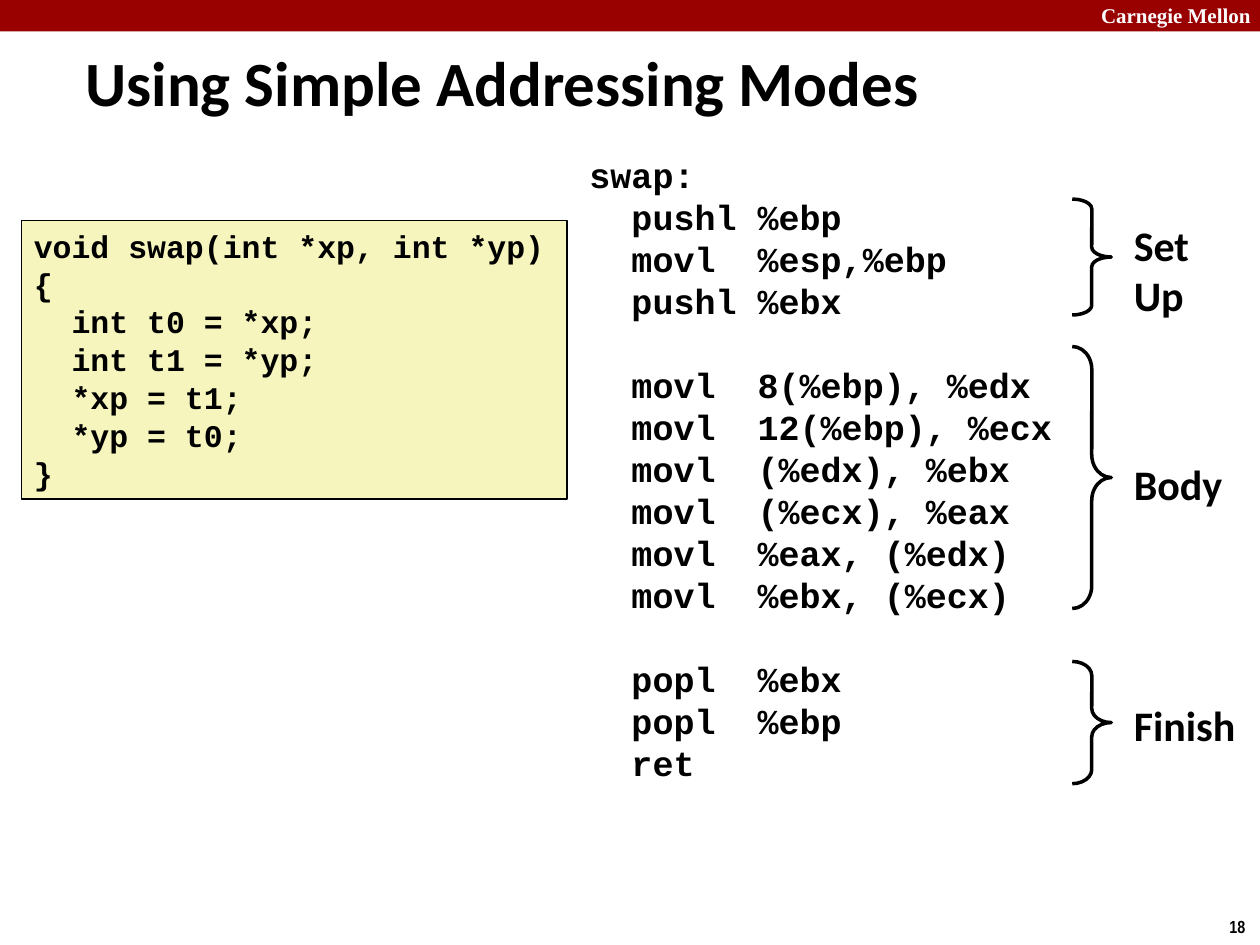
import pptx
import pptx.dml.color
import pptx.enum.shapes
import pptx.enum.text
import pptx.util

Inches, Pt = pptx.util.Inches, pptx.util.Pt
RGBColor = pptx.dml.color.RGBColor
MSO_SHAPE = pptx.enum.shapes.MSO_SHAPE
MSO_ANCHOR = pptx.enum.text.MSO_ANCHOR

BLACK = RGBColor(0x00, 0x00, 0x00)
WHITE = RGBColor(0xFF, 0xFF, 0xFF)
DARK_RED = RGBColor(0x99, 0x00, 0x00)
CREAM = RGBColor(0xF6, 0xF5, 0xBD)

# Content
TITLE = "Using Simple Addressing Modes"
C_CODE = [
    "void swap(int *xp, int *yp)",
    "{",
    "  int t0 = *xp;",
    "  int t1 = *yp;",
    "  *xp = t1;",
    "  *yp = t0;",
    "}",
]
SECTIONS = [
    {"label": ["Set", "Up"], "label_top": 1.69, "brace": (1.58, 0.92), "curve": 0.25,
     "code": ["swap:", "  pushl %ebp", "  movl  %esp,%ebp", "  pushl %ebx"]},
    {"label": ["Body"], "label_top": 3.59, "brace": (2.75, 2.08), "curve": 0.585,
     "code": ["  movl  8(%ebp), %edx", "  movl  12(%ebp), %ecx", "  movl  (%edx), %ebx",
              "  movl  (%ecx), %eax", "  movl  %eax, (%edx)", "  movl  %ebx, (%ecx)"]},
    {"label": ["Finish"], "label_top": 5.5, "brace": (5.25, 0.97), "curve": 0.362,
     "code": ["  popl  %ebx", "  popl  %ebp", "  ret"]},
]

# Layout
SLIDE_WIDTH, SLIDE_HEIGHT = 10, 7.5
BRACE_LEFT, BRACE_WIDTH = 8.51, 0.31
LABEL_LEFT, LABEL_WIDTH, LABEL_LINE = 8.9, 1.02, 0.41
CODE_LINE = 1.2  # line pitch as a multiple of the type size


def add_shape(slide, kind, box, fill=None, line=None):
    shape = slide.shapes.add_shape(kind, *map(Inches, box))
    shape.shadow.inherit = False
    if fill is None:
        shape.fill.background()
    else:
        shape.fill.solid()
        shape.fill.fore_color.rgb = fill
    if line is None:
        shape.line.fill.background()
    else:
        shape.line.color.rgb = BLACK
        shape.line.width = Pt(line)
    return shape


def write(shape, lines, font="Calibri", size=24, color=BLACK, wrap=True,
          anchor=MSO_ANCHOR.TOP, pitch=None, gaps=()):
    """Fill a shape with bold lines; gaps lists the lines that follow an empty row."""
    frame = shape.text_frame
    frame.word_wrap = wrap
    frame.vertical_anchor = anchor
    for index, line in enumerate(lines):
        paragraph = frame.paragraphs[0] if index == 0 else frame.add_paragraph()
        paragraph.text = line
        paragraph.alignment = pptx.enum.text.PP_ALIGN.LEFT
        paragraph.font.name = font
        paragraph.font.size = Pt(size)
        paragraph.font.bold = True
        paragraph.font.color.rgb = color
        if pitch:
            paragraph.line_spacing = Pt(size * pitch)
        if index in gaps:
            paragraph.space_before = Pt(size * pitch)


def add_text(slide, box, lines, **style):
    write(slide.shapes.add_textbox(*map(Inches, box)), lines, **style)


def main():
    presentation = pptx.Presentation()
    presentation.slide_width = Inches(SLIDE_WIDTH)
    presentation.slide_height = Inches(SLIDE_HEIGHT)
    slide = presentation.slides.add_slide(presentation.slide_layouts[6])

    # Header band, page number and title
    add_shape(slide, MSO_SHAPE.RECTANGLE, (0, 0, SLIDE_WIDTH, 0.25), fill=DARK_RED)
    add_text(slide, (8.64, -0.03, 1.43, 0.3), ["Carnegie Mellon"],
             font="Times New Roman", size=12, color=WHITE)
    add_text(slide, (9.66, 7.22, 0.34, 0.27), ["18"],
             font="Arial Narrow", size=10, wrap=False)
    add_text(slide, (0.58, 0.33, 8.38, 0.63), [TITLE], size=36, anchor=MSO_ANCHOR.MIDDLE)

    # C source
    c_box = add_shape(slide, MSO_SHAPE.RECTANGLE, (0.17, 1.75, 4.33, 2.21), fill=CREAM, line=1)
    write(c_box, C_CODE, font="Courier New", size=18, pitch=CODE_LINE)

    # Braces and labels, gathering the assembly code of each section
    assembly, section_starts = [], []
    for section in SECTIONS:
        if assembly:
            section_starts.append(len(assembly))
        assembly += section["code"]
        top, height = section["brace"]
        brace = add_shape(slide, MSO_SHAPE.RIGHT_BRACE,
                          (BRACE_LEFT, top, BRACE_WIDTH, height), line=2)
        brace.adjustments[0] = section["curve"]
        label_height = 0.1 + LABEL_LINE * len(section["label"])
        add_text(slide, (LABEL_LEFT, section["label_top"], LABEL_WIDTH, label_height),
                 section["label"], wrap=False)

    # Assembly code
    add_text(slide, (4.58, 1.17, 4.58, 5.15), assembly, font="Courier New", size=20,
             pitch=CODE_LINE, gaps=section_starts)

    presentation.save("out.pptx")


if __name__ == "__main__":
    main()
